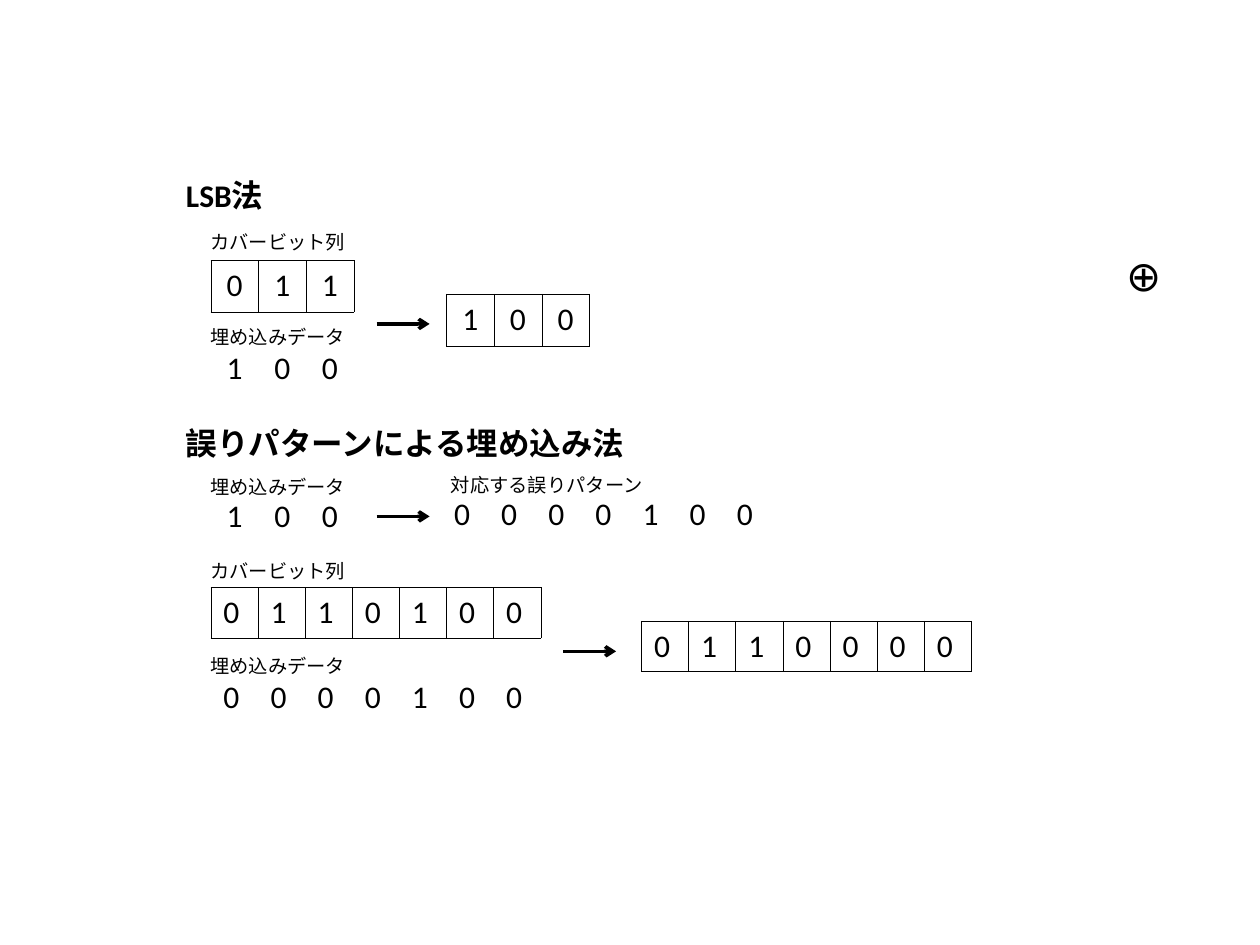
from dataclasses import dataclass
from lxml import etree
from pptx import Presentation
from pptx.dml.color import RGBColor
from pptx.enum.shapes import MSO_CONNECTOR
from pptx.enum.text import PP_ALIGN
from pptx.oxml.ns import qn
from pptx.util import Cm, Pt

LEFT, CENTER = PP_ALIGN.LEFT, PP_ALIGN.CENTER
STRAIGHT = MSO_CONNECTOR.STRAIGHT


@dataclass
class Theme:
    ink: str = "000000"
    font: str = "Calibri"
    head: int = 18
    label: int = 11
    bit: int = 18
    sign: int = 24
    rule: float = 0.25
    arrow: int = 2


theme = Theme()
ink = RGBColor.from_string(theme.ink)


def style(para, size, bold=False):
    for run in para.runs:
        font = run.font
        font.name, font.size, font.bold = theme.font, Pt(size), bold
        font.color.rgb = ink


def edge(cell, ruled):
    props = cell._tc.get_or_add_tcPr()
    for side in ("lnL", "lnR", "lnT", "lnB"):
        line = etree.SubElement(props, qn("a:" + side), w=str(Pt(theme.rule)))
        if ruled:
            fill = etree.SubElement(line, qn("a:solidFill"))
            etree.SubElement(fill, qn("a:srgbClr"), val=theme.ink)
        else:
            etree.SubElement(line, qn("a:noFill"))


deck = Presentation()
deck.slide_width, deck.slide_height = Cm(25.4), Cm(19.05)
slide = deck.slides.add_slide(deck.slide_layouts[6])
shapes = slide.shapes

texts = [
    ("LSB法", 3.5, 3.43, 3.35, 1.02, theme.head, True),
    ("誤りパターンによる埋め込み法", 3.5, 8.43, 12.98, 1.02, theme.head, True),
    ("カバービット列", 3.99, 4.52, 4.04, 0.74, theme.label, False),
    ("埋め込みデータ", 3.99, 6.43, 4.04, 0.74, theme.label, False),
    ("埋め込みデータ", 3.99, 9.45, 4.04, 0.74, theme.label, False),
    ("対応する誤りパターン", 8.84, 9.42, 4.67, 0.79, theme.label, False),
    ("カバービット列", 3.99, 11.15, 4.04, 0.74, theme.label, False),
    ("埋め込みデータ", 3.99, 13.06, 4.04, 0.74, theme.label, False),
    ("⊕", 22.45, 4.9, 1.07, 1.27, theme.sign, False),
]
for words, x, y, w, h, size, bold in texts:
    box = shapes.add_textbox(Cm(x), Cm(y), Cm(w), Cm(h))
    frame = box.text_frame
    frame.word_wrap = True
    frame.text = words
    style(frame.paragraphs[0], size, bold)

short = (0.96, 1.04, CENTER)
long = (0.95, 1.02, LEFT)
rows = [
    ("011", 4.25, 5.25, True, short),
    ("100", 4.25, 6.91, False, short),
    ("100", 9.0, 5.93, True, short),
    ("100", 4.25, 9.9, False, short),
    ("0000100", 8.9, 9.87, False, long),
    ("0110100", 4.25, 11.84, True, long),
    ("0000100", 4.25, 13.56, False, long),
    ("0110000", 12.93, 12.52, True, long),
]
for bits, x, y, ruled, (w, h, align) in rows:
    count = len(bits)
    table = shapes.add_table(1, count, Cm(x), Cm(y), Cm(w * count), Cm(h)).table
    table.first_row = table.horz_banding = False
    for col, bit in enumerate(bits):
        table.columns[col].width = Cm(w)
        cell = table.cell(0, col)
        edge(cell, ruled)
        cell.fill.background()
        para = cell.text_frame.paragraphs[0]
        para.text = bit
        para.alignment = align
        style(para, theme.bit)

for x, y in ((7.59, 6.53), (7.59, 10.41), (11.35, 13.13)):
    arrow = shapes.add_connector(STRAIGHT, Cm(x), Cm(y), Cm(x + 1.07), Cm(y))
    arrow.line.color.rgb = ink
    arrow.line.width = Pt(theme.arrow)
    etree.SubElement(arrow.line._get_or_add_ln(), qn("a:tailEnd"), type="arrow")
    etree.SubElement(arrow._element.spPr, qn("a:effectLst"))

deck.save("out.pptx")
